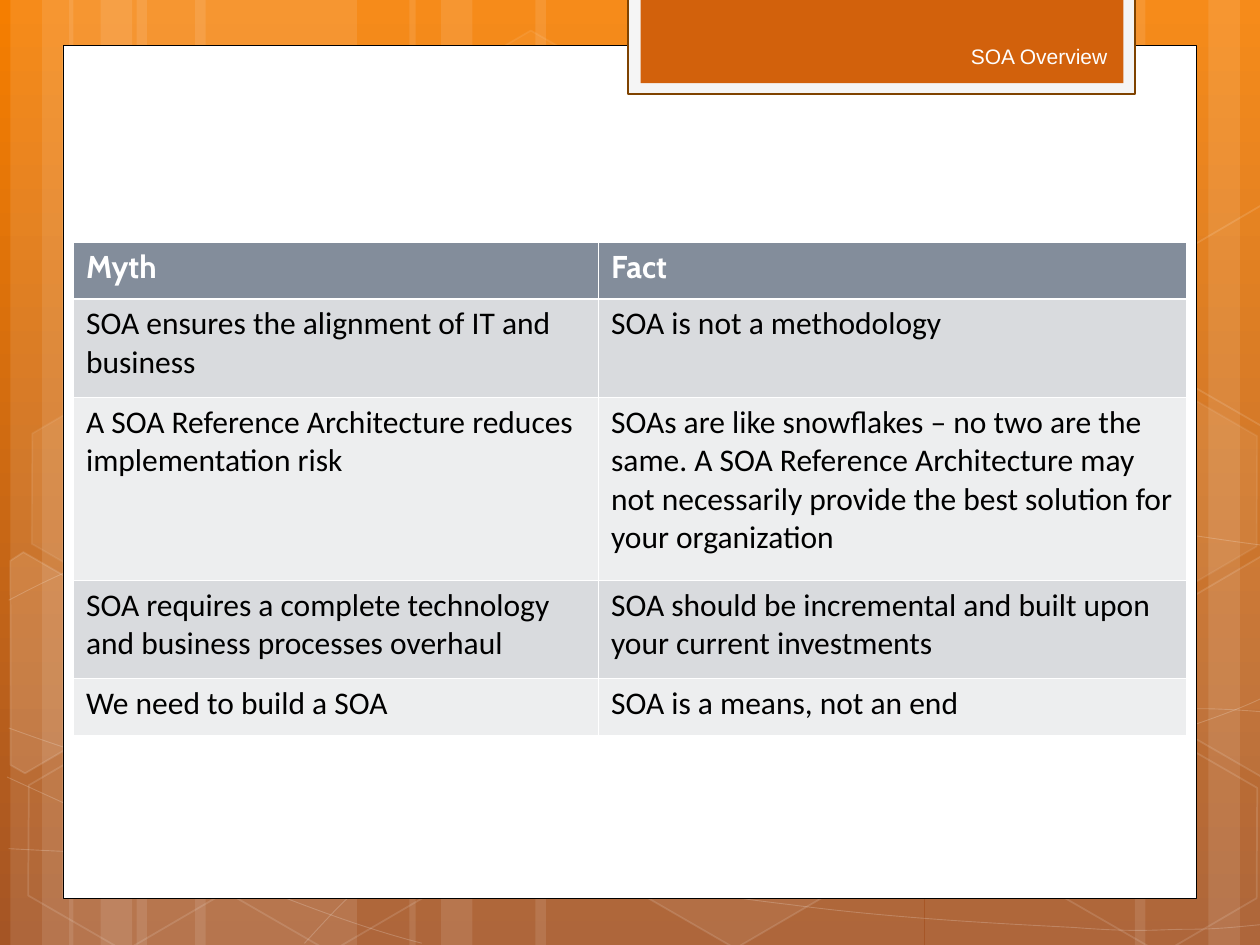
from lxml import etree
from pptx import Presentation
from pptx.dml.color import RGBColor
from pptx.enum import shapes, text
from pptx.oxml import ns
from pptx.util import Pt

WHITE = RGBColor(0xFF, 0xFF, 0xFF)
BLACK = RGBColor(0, 0, 0)
BG_TOP = RGBColor(0xF5, 0x7E, 0x00)
BG_BOTTOM = RGBColor(0xA5, 0x55, 0x25)
TAB_FRAME = RGBColor(0xF5, 0xF5, 0xF5)
TAB_EDGE = RGBColor(0x7F, 0x43, 0x00)
TAB_FILL = RGBColor(0xD2, 0x61, 0x0C)
TAB_TEXT = RGBColor(0xFE, 0xFE, 0xFE)
HEADER = RGBColor(0x83, 0x8D, 0x9B)
BANDS = RGBColor(0xD9, 0xDB, 0xDE), RGBColor(0xED, 0xEE, 0xEF)

# Groups of three vertical bars: start, direction, width of the widest bar
BAR_GROUPS = [(6, 1, 126), (39.5, 1, 126), (726.5, -1, 126), (234, 1, 222)]

# Bezier curves: a start point, then two handles and an end point per segment
CURVES = [
    [(5, 485), (44, 487), (83, 489), (137, 488), (191, 487), (258, 486), (330, 479),
     (402, 472), (504, 458), (570, 444), (636, 431), (703, 409), (725, 397)],
    [(5, 343), (26, 332), (47, 321), (87, 310), (128, 300), (186, 284), (250, 279),
     (314, 274), (392, 273), (471, 279), (550, 284), (682, 307), (725, 312)],
    [(4, 444), (91, 484), (178, 523), (241, 539)],
    [(5, 416), (27, 424), (50, 432), (92, 444), (134, 454), (197, 472), (257, 485),
     (317, 497), (392, 510), (452, 517), (512, 525), (576, 528), (614, 530),
     (652, 533), (662, 531), (680, 531), (699, 531), (712, 529), (725, 528)],
    [(174, 539), (187, 525), (200, 510), (217, 498), (235, 484), (259, 470), (279, 460),
     (300, 450), (312, 446), (338, 438), (364, 431), (413, 421), (438, 416),
     (464, 411), (467, 411), (490, 410), (512, 408), (547, 405), (572, 405),
     (597, 404), (638, 405), (638, 405), (660, 405), (670, 405), (686, 405),
     (699, 405), (712, 406), (724, 407)],
]

# Hexagons: left, top, fill opacity, line opacity (percent)
HEXAGONS = [
    (240.5, 26, 4, 8), (357, 424, 6, 12), (8, 425.5, None, 12), (10, 224.5, 7, 8),
    (125.5, 426, None, 12), (542, 326, 10, 12), (600.5, 427, None, 12), (600.5, 226, 7, 8),
]

# Hexagons cut by the slide edge: left, top, fill opacity, corners before turning
CUT_LEFT = [(0, 8), (4, 0), (68, 0), (99, 54.5), (68, 109), (58.5, 109)]
CUT_RIGHT = [(0, 54.5), (31, 0), (37, 0), (97.5, 104), (94.5, 109), (31, 109)]
CUT_HEXAGONS = [(-24, 331, 10, CUT_LEFT), (660, 319.5, 4, CUT_RIGHT),
                (660, 119, None, CUT_RIGHT)]

ROWS = [
    ("Myth", "Fact"),
    ("SOA ensures the alignment of IT and business", "SOA is not a methodology"),
    ("A SOA Reference Architecture reduces implementation risk",
     "SOAs are like snowflakes – no two are the same. A SOA Reference Architecture "
     "may not necessarily provide the best solution for your organization"),
    ("SOA requires a complete technology and business processes overhaul",
     "SOA should be incremental and built upon your current investments"),
    ("We need to build a SOA", "SOA is a means, not an end"),
]
COL_SHARES = (4.17, 4.67)
ROW_SHARES = (0.45, 0.78, 1.45, 0.78, 0.45)


def set_alpha(fill, percent):
    """Make the solid fill inside a fill or line element translucent."""
    color = fill.find(".//" + ns.qn("a:srgbClr"))
    etree.SubElement(color, ns.qn("a:alpha"), val=str(percent * 1000))


def style(sp, fill=None, line=None, width=0.5, fill_alpha=None, line_alpha=None):
    sp.shadow.inherit = False
    sp_pr = sp._element.spPr
    if fill is None:
        sp.fill.background()
    else:
        sp.fill.solid()
        sp.fill.fore_color.rgb = fill
        if fill_alpha:
            set_alpha(sp_pr.find(ns.qn("a:solidFill")), fill_alpha)
    if line is None:
        sp.line.fill.background()
    else:
        sp.line.color.rgb = line
        sp.line.width = Pt(width)
        if line_alpha:
            set_alpha(sp_pr.find(ns.qn("a:ln")), line_alpha)


def add_box(slide, box, **look):
    sp = slide.shapes.add_shape(shapes.MSO_SHAPE.RECTANGLE, *map(Pt, box))
    style(sp, **look)


def add_outline(slide, origin, points, close):
    x, y = origin
    pts = [(Pt(x + px), Pt(y + py)) for px, py in points]
    builder = slide.shapes.build_freeform(*pts[0])
    builder.add_line_segments(pts[1:], close=close)
    return builder.convert_to_shape()


def bend(sp):
    """Turn each three line segments of a freeform into one Bezier segment."""
    lines = list(sp._element.iter(ns.qn("a:lnTo")))
    for i in range(0, len(lines), 3):
        curve = etree.Element(ns.qn("a:cubicBezTo"))
        lines[i].addprevious(curve)
        for line in lines[i:i + 3]:
            curve.append(line[0])
            line.getparent().remove(line)


def add_backdrop(slide, box):
    x, y, w, h = box
    fill = slide.background.fill
    fill.gradient()
    fill.gradient_angle = 270
    for stop, color in zip(fill.gradient_stops, (BG_TOP, BG_BOTTOM)):
        stop.color.rgb = color

    # Translucent vertical bars
    for start, direction, widest in BAR_GROUPS:
        for offset, width in ((72, widest), (0, 36), (18, 60)):
            left = start + offset if direction > 0 else start - offset - width
            add_box(slide, (x + left, y, width, h), fill=WHITE, fill_alpha=10)

    # Thin curves
    for nodes in CURVES:
        sp = add_outline(slide, (x, y), nodes, close=False)
        bend(sp)
        style(sp, line=WHITE, line_alpha=20)

    # Hexagons
    for left, top, fill_alpha, line_alpha in HEXAGONS:
        sp = slide.shapes.add_shape(shapes.MSO_SHAPE.HEXAGON, Pt(x + left), Pt(y + top),
                                    Pt(126), Pt(109.5))
        sp.adjustments[0] = 0.285
        sp.rotation = 30
        style(sp, WHITE if fill_alpha else None, WHITE, 1, fill_alpha, line_alpha)
    for left, top, fill_alpha, corners in CUT_HEXAGONS:
        sp = add_outline(slide, (x + left, y + top), corners, close=True)
        sp.rotation = 30
        style(sp, WHITE if fill_alpha else None, WHITE, 1, fill_alpha, 12)


def add_title_tab(slide, box):
    x, y, w, h = box
    add_box(slide, box, fill=TAB_FRAME, line=TAB_EDGE, width=1.25)
    add_box(slide, (x + 7, y, w - 13.5, h - 6.5), fill=TAB_FILL)

    title = slide.shapes.title
    title.left, title.top, title.width, title.height = map(
        Pt, (x + w - 176.5, y + 19, 168, 29))
    slide.shapes._spTree.append(title._element)  # in front of the tab
    tf = title.text_frame
    tf.vertical_anchor = text.MSO_ANCHOR.MIDDLE
    p = tf.paragraphs[0]
    p.alignment = text.PP_ALIGN.RIGHT
    add_run(p, "SOA Overview", 12, "Arial", TAB_TEXT)


def add_run(p, words, size, font, color, bold=False):
    r = p.add_run()
    r.text = words
    r.font.size = Pt(size)
    r.font.name = font
    r.font.bold = bold
    r.font.color.rgb = color


def set_borders(cell, widths):
    tc_pr = cell._tc.get_or_add_tcPr()
    for i, (side, width) in enumerate(widths.items()):
        ln = etree.Element(ns.qn("a:ln" + side), w=str(Pt(width)))
        solid = etree.SubElement(ln, ns.qn("a:solidFill"))
        etree.SubElement(solid, ns.qn("a:srgbClr"), val=str(WHITE))
        tc_pr.insert(i, ln)


def add_myth_table(slide, box):
    x, y, w, h = box
    table = slide.shapes.add_table(len(ROWS), 2, *map(Pt, box)).table
    for col, share in zip(table.columns, COL_SHARES):
        col.width = Pt(w * share / sum(COL_SHARES))
    for row, share in zip(table.rows, ROW_SHARES):
        row.height = Pt(h * share / sum(ROW_SHARES))

    for i, row in enumerate(ROWS):
        header = i == 0
        for j, words in enumerate(row):
            cell = table.cell(i, j)
            cell.fill.solid()
            cell.fill.fore_color.rgb = HEADER if header else BANDS[(i - 1) % 2]
            set_borders(cell, {"L": 0.45, "R": 0.45, "T": 1.47 if i == 1 else 0.45,
                               "B": 1.47 if header else 0.45})
            add_run(cell.text_frame.paragraphs[0], words, 18,
                    "Cabin" if header else "Calibri", WHITE if header else BLACK, header)


def main():
    prs = Presentation()
    prs.slide_width, prs.slide_height = Pt(720), Pt(540)
    slide = prs.slides.add_slide(prs.slide_layouts[5])
    add_backdrop(slide, (0, 0, 720, 540))
    add_box(slide, (36, 26, 648, 487.5), fill=WHITE, line=BLACK)  # white panel
    add_title_tab(slide, (359, -1.5, 289.5, 55.5))
    add_myth_table(slide, (42, 138.25, 636, 282))
    prs.save("out.pptx")


if __name__ == "__main__":
    main()
